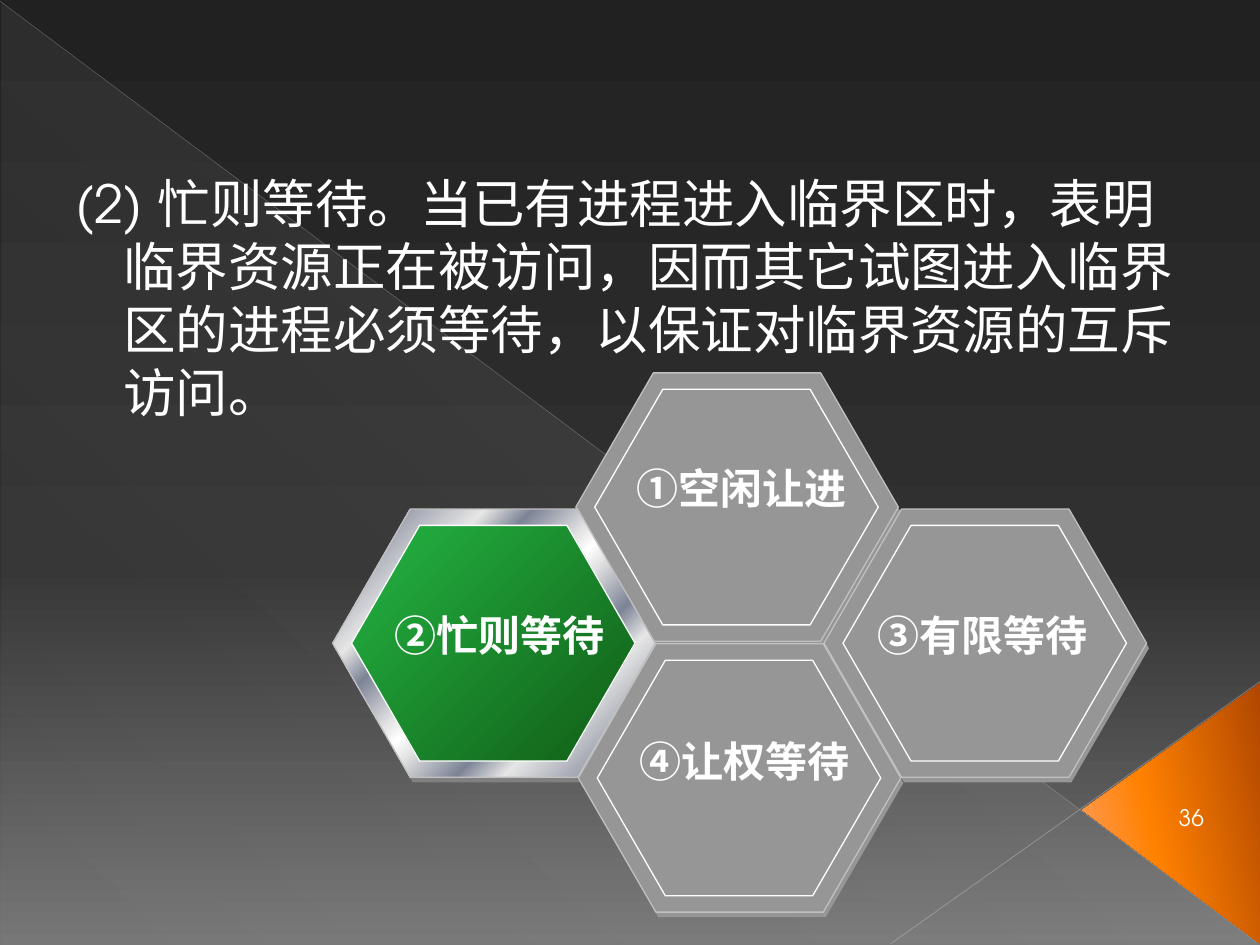
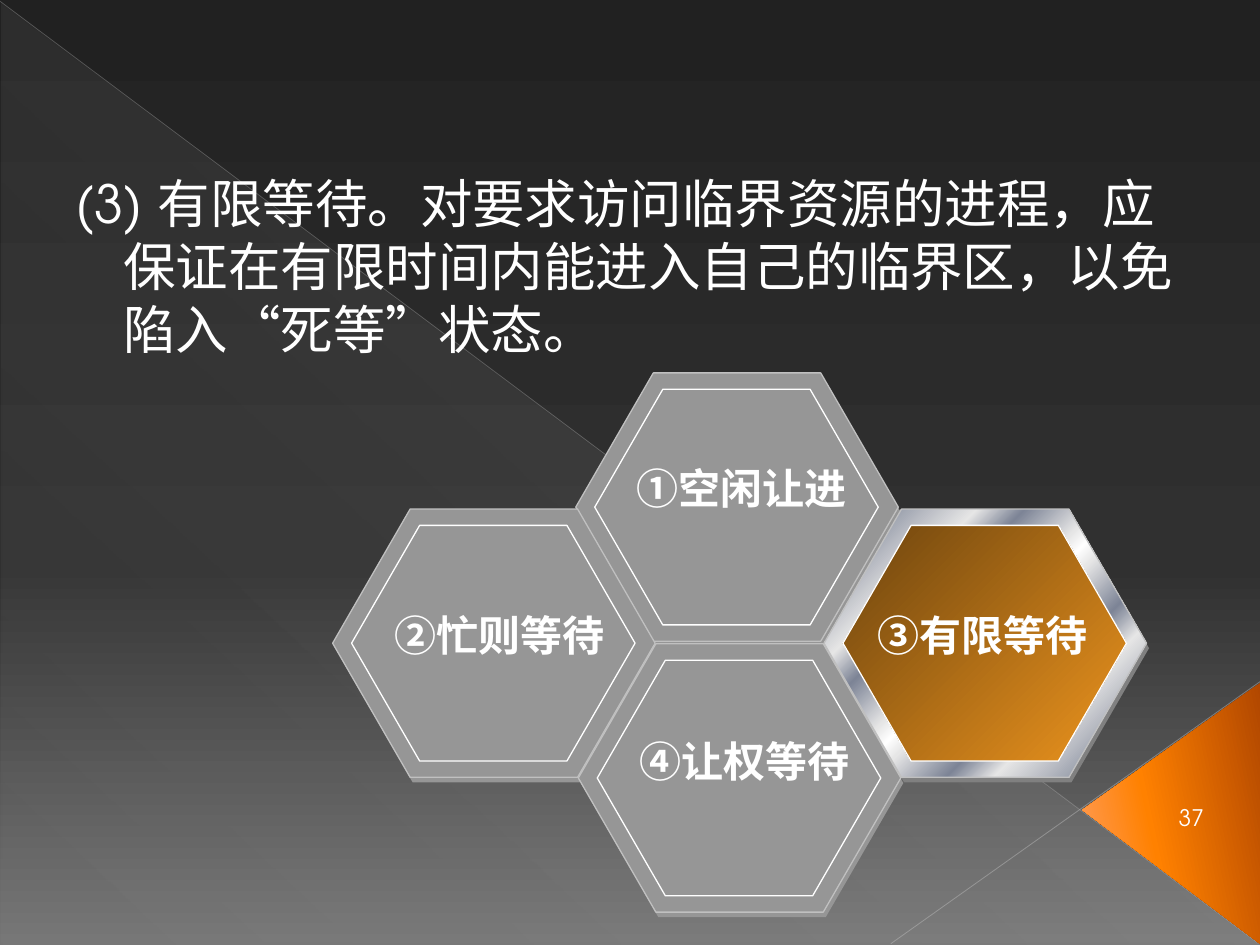
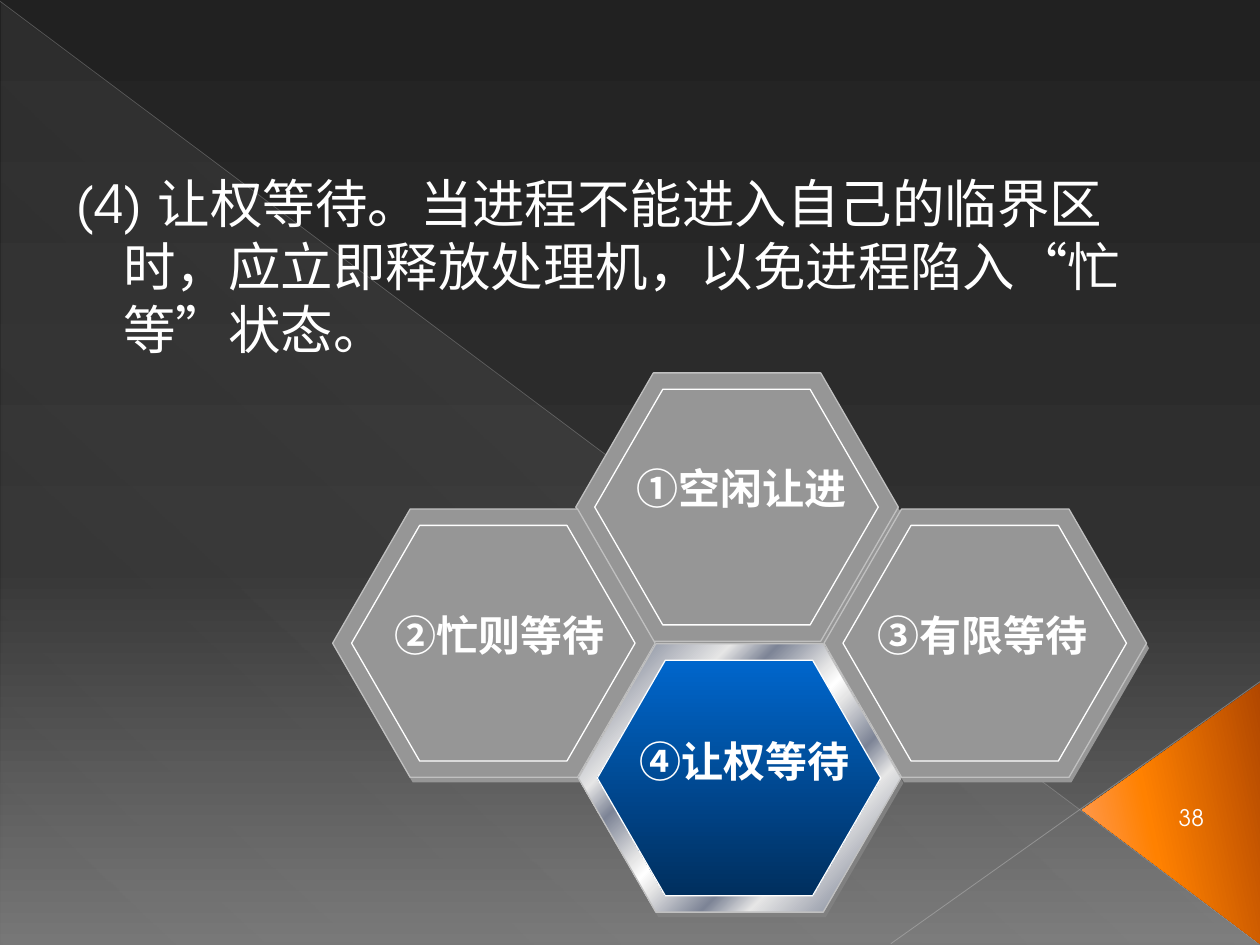
from lxml import etree
from pptx import Presentation
from pptx.dml.color import RGBColor
from pptx.enum.shapes import MSO_CONNECTOR, MSO_SHAPE
from pptx.enum.text import MSO_ANCHOR, MSO_AUTO_SIZE, PP_ALIGN
from pptx.oxml.ns import qn
from pptx.util import Inches, Pt

# Colours and fonts
WHITE = RGBColor(0xFF, 0xFF, 0xFF)
GRAY = RGBColor(0x96, 0x96, 0x96)
SHADOW = RGBColor(0x80, 0x80, 0x80)
RIM = RGBColor(0xC0, 0xC0, 0xC0)
RAY_LEFT = RGBColor(0xB6, 0xB6, 0xB6)
RAY_RIGHT = RGBColor(0xBE, 0xBE, 0xBE)
SILVER = RGBColor(0xE6, 0xE6, 0xE6)
STEEL = RGBColor(0x7D, 0x84, 0x96)
GREEN, DARK_GREEN = RGBColor(0x24, 0xB4, 0x43), RGBColor(0x11, 0x5D, 0x16)
AMBER, DARK_AMBER = RGBColor(0xEC, 0x94, 0x1E), RGBColor(0x6D, 0x44, 0x0E)
BLUE, DARK_BLUE = RGBColor(0x00, 0x66, 0xCC), RGBColor(0x00, 0x2F, 0x5E)
BODY_FONT = "TeX Gyre Adventor"
LABEL_FONT = "Arial"

# Gradients: (position %, colour, opacity %)
BACKDROP = [(0, RGBColor(0x21, 0x21, 0x21), 100), (60, RGBColor(0x30, 0x30, 0x30), 100),
            (100, RGBColor(0x75, 0x75, 0x75), 100)]
SHEEN = [(0, WHITE, 10), (70, WHITE, 4), (100, WHITE, 1)]
ORANGE = [(0, RGBColor(0xB1, 0x47, 0x00), 100), (60, RGBColor(0xFF, 0x81, 0x00), 100),
          (100, RGBColor(0xFF, 0xA0, 0x66), 100)]
METAL = [(pos, WHITE if pos == 50 else STEEL if pos in (7, 34, 66, 93) else SILVER, 100)
         for pos in (0, 7, 26, 34, 46, 50, 54, 66, 74, 93, 100)]

# Hexagons: left, top, label left, label top, label
HEXAGONS = [
    (4.57, 2.96, 4.95, 3.62, "①空闲让进"),
    (2.64, 4.04, 3.03, 4.79, "②忙则等待"),
    (6.54, 4.04, 6.86, 4.79, "③有限等待"),
    (4.59, 5.11, 4.97, 5.79, "④让权等待"),
]

# Slides: number, lit hexagon, its gradient from, to and angle, text
SLIDES = [
    (36, 1, GREEN, DARK_GREEN, 45,
     "(2) 忙则等待。当已有进程进入临界区时，表明临界资源正在被访问，"
     "因而其它试图进入临界区的进程必须等待，以保证对临界资源的互斥访问。"),
    (37, 2, DARK_AMBER, AMBER, 45,
     "(3) 有限等待。对要求访问临界资源的进程，应保证在有限时间内能进入自己的临界区，"
     "以免陷入“死等”状态。"),
    (38, 3, BLUE, DARK_BLUE, 90,
     "(4) 让权等待。当进程不能进入自己的临界区时，应立即释放处理机，"
     "以免进程陷入“忙等”状态。"),
]


def set_gradient(props, stops, angle):
    """Replace the solid fill in props by a linear gradient."""
    grad = etree.Element(qn("a:gradFill"), rotWithShape="1")
    stop_list = etree.SubElement(grad, qn("a:gsLst"))
    for pos, color, opacity in stops:
        gs = etree.SubElement(stop_list, qn("a:gs"), pos=str(pos * 1000))
        clr = etree.SubElement(gs, qn("a:srgbClr"), val=str(color))
        if opacity < 100:
            etree.SubElement(clr, qn("a:alpha"), val=str(opacity * 1000))
    etree.SubElement(grad, qn("a:lin"), ang=str(angle * 60000), scaled="0")
    props.replace(props.find(qn("a:solidFill")), grad)


def add_filled(shapes, kind, box, adjust=None, color=WHITE, line=None, stops=None, angle=0):
    """Add a preset shape with a solid or gradient fill."""
    sp = shapes.add_shape(kind, *[Inches(v) for v in box])
    sp.shadow.inherit = False
    if adjust:
        sp.adjustments[0] = adjust
    sp.fill.solid()
    sp.fill.fore_color.rgb = color
    if stops:
        set_gradient(sp._element.spPr, stops, angle)
    if line:
        sp.line.color.rgb = line
        sp.line.width = Pt(0.75)
    else:
        sp.line.fill.background()
    return sp


prs = Presentation()
prs.slide_width, prs.slide_height = Inches(10), Inches(7.5)

# Shared background
master = prs.slide_master
master.background.fill.solid()
set_gradient(master._element.find(".//" + qn("p:bgPr")), BACKDROP, 90)

for number, lit, start, end, angle, text in SLIDES:
    s = prs.slides.add_slide(prs.slide_layouts[6])

    # Sheen, rays and orange corner
    add_filled(s.shapes, MSO_SHAPE.RIGHT_TRIANGLE, (0.01, 0.02, 9.99, 7.48),
               stops=SHEEN, angle=133)
    for x1, y1, x2, y2, color, width, opacity in [
        (0, 0.01, 9.99, 7.49, RAY_LEFT, 0.39, 35),
        (10, 5.41, 7.07, 7.49, RAY_RIGHT, 0.47, 45),
    ]:
        ray = s.shapes.add_connector(MSO_CONNECTOR.STRAIGHT, Inches(x1), Inches(y1),
                                     Inches(x2), Inches(y2))
        ray.line.color.rgb = color
        ray.line.width = Pt(width)
        clr = ray._element.spPr.find(".//" + qn("a:srgbClr"))
        etree.SubElement(clr, qn("a:alpha"), val=str(opacity * 1000))
        etree.SubElement(ray._element.spPr, qn("a:effectLst"))
    corner = add_filled(s.shapes, MSO_SHAPE.ISOSCELES_TRIANGLE, (8.26, 5.75, 2.07, 1.41),
                        0.513, stops=ORANGE, angle=258)
    corner.rotation = 270

    # Slide number
    tf = s.shapes.add_textbox(Inches(9.18), Inches(6.29), Inches(0.55), Inches(0.4)).text_frame
    tf.word_wrap = True
    tf.vertical_anchor = MSO_ANCHOR.MIDDLE
    p = tf.paragraphs[0]
    p.text = str(number)
    p.alignment = PP_ALIGN.CENTER
    p.font.name, p.font.size, p.font.color.rgb = BODY_FONT, Pt(13), WHITE

    # Body text with hanging indent, punctuation kept inside the margin
    tf = s.shapes.add_textbox(Inches(0.5), Inches(1.31), Inches(9), Inches(2.2)).text_frame
    tf.word_wrap = True
    p = tf.paragraphs[0]
    p.text = text
    p.space_before = Pt(6)
    p.font.name, p.font.size, p.font.color.rgb = BODY_FONT, Pt(30), WHITE
    pPr = p._p.get_or_add_pPr()
    pPr.set("marL", str(Inches(0.38)))
    pPr.set("indent", str(Inches(-0.38)))
    pPr.set("hangingPunct", "0")

    # Honeycomb: shadow, rim and face of each hexagon, then its label
    for i, (x, y, label_x, label_y, label) in enumerate(HEXAGONS):
        on = i == lit
        group = s.shapes.add_group_shape().shapes
        add_filled(group, MSO_SHAPE.HEXAGON, (x + 0.02, y + 0.04, 2.56, 2.13), 0.289,
                   SHADOW if on else GRAY)
        add_filled(group, MSO_SHAPE.HEXAGON, (x, y, 2.56, 2.13), 0.289, GRAY, RIM,
                   METAL if on else None, 45)
        add_filled(group, MSO_SHAPE.HEXAGON, (x + 0.15, y + 0.13, 2.25, 1.87), 0.289, GRAY, WHITE,
                   [(0, start, 100), (100, end, 100)] if on else None, angle)

        tf = s.shapes.add_textbox(Inches(label_x), Inches(label_y),
                                  Inches(1.87), Inches(0.5)).text_frame
        tf.word_wrap = False
        tf.auto_size = MSO_AUTO_SIZE.SHAPE_TO_FIT_TEXT
        p = tf.paragraphs[0]
        p.text = label
        p.alignment = PP_ALIGN.CENTER
        p.font.name, p.font.size, p.font.bold = LABEL_FONT, Pt(24), True
        p.font.color.rgb = WHITE

prs.save("out.pptx")
